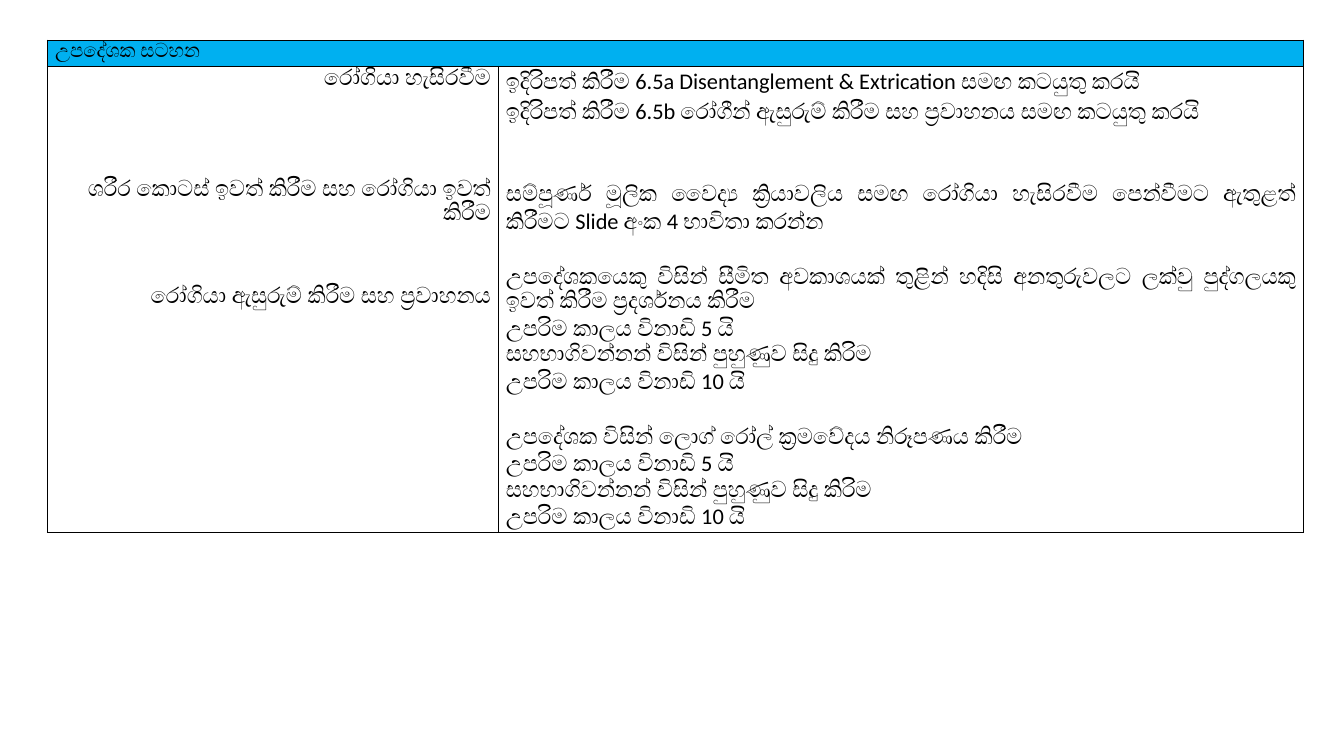
from lxml.etree import SubElement
from pptx import Presentation
from pptx.dml.color import RGBColor
from pptx.enum.text import PP_ALIGN
from pptx.oxml.ns import qn
from pptx.util import Pt

COLORS = {"text": "000000", "border": "000000", "header": "00B0F0"}
JOINER = chr(0x200D)
TRANSPORT = f"ප්{JOINER}රවාහනය"
EXERCISE = [
    ("උපරිම කාලය විනාඩි 5 යි", 0),
    ("සහභාගිවන්නන් විසින් පුහුණුව සිදු කිරිම", 0),
    ("උපරිම කාලය විනාඩි 10 යි", 0),
]
HEADING = [("උපදේශක සටහන", 0)]
TOPICS = [
    ("රෝගියා හැසිරවීම", 0),
    ("ශරීර කොටස් ඉවත් කිරීම සහ රෝගියා ඉවත් කිරීම", 62),
    (f"රෝගියා ඇසුරුම් කිරීම සහ {TRANSPORT}", 42),
]
NOTES = [
    ("ඉදිරිපත් කිරීම 6.5a Disentanglement & Extrication සමඟ කටයුතු කරයි", 0),
    (f"ඉදිරිපත් කිරීම 6.5b රෝගීන් ඇසුරුම් කිරීම සහ {TRANSPORT} සමඟ කටයුතු කරයි", 0),
    (f"සම්පූර්ණ මූලික වෛද්{JOINER}ය ක්{JOINER}රියාවලිය සමඟ රෝගියා හැසිරවීම පෙන්වීමට "
     "ඇතුළත් කිරීමට Slide අංක 4 භාවිතා කරන්න", 41),
    ("උපදේශකයෙකු විසින් සීමිත අවකාශයක් තුළින් හදිසි අනතුරුවලට ලක්වු "
     f"පුද්ගලයකු ඉවත් කිරීම ප්{JOINER}රදර්ශනය කිරීම", 21),
    *EXERCISE,
    (f"උපදේශක විසින් ලොග් රෝල් ක්{JOINER}රමවේදය නිරූපණය කිරීම", 21),
    *EXERCISE,
]


class InstructorSlide:
    """Hold the style and the current slide."""

    font_name = "Calibri"
    line_spacing = 1.07
    margins = {"margin_left": Pt(5.4), "margin_right": Pt(5.4), "margin_top": 0, "margin_bottom": 0}

    def __init__(self, presentation):
        """Add a blank slide."""
        self.slide = presentation.slides.add_slide(presentation.slide_layouts[6])

    def apply(self, target, values):
        """Set attributes from a dict."""
        for name, value in values.items():
            setattr(target, name, value)

    def table(self, left, top, widths, heights):
        """Add a plain table with the given column widths and row heights."""
        frame = self.slide.shapes.add_table(
            len(heights), len(widths), Pt(left), Pt(top), Pt(sum(widths)), Pt(sum(heights)))
        table = frame.table
        self.apply(table, {"first_row": False, "horz_banding": False})
        for column, width in zip(table.columns, widths):
            column.width = Pt(width)
        for row, height in zip(table.rows, heights):
            row.height = Pt(height)
        for cell in table.iter_cells():
            self.borders(cell)
            cell.fill.background()
        return table

    def borders(self, cell):
        """Draw a thin line on each side of a cell."""
        properties = cell._tc.get_or_add_tcPr()
        for side in ("lnL", "lnR", "lnT", "lnB"):
            line = SubElement(properties, qn(f"a:{side}"), w=str(Pt(1)))
            fill = SubElement(line, qn("a:solidFill"))
            SubElement(fill, qn("a:srgbClr"), val=COLORS["border"])

    def cell(self, cell, lines, size, alignment, fill=None):
        """Write paragraphs, each with its space before, into a cell."""
        self.apply(cell, self.margins)
        if fill:
            cell.fill.solid()
            cell.fill.fore_color.rgb = RGBColor.from_string(COLORS[fill])
        text_frame = cell.text_frame
        for index, (text, gap) in enumerate(lines):
            paragraph = text_frame.add_paragraph() if index else text_frame.paragraphs[0]
            self.apply(paragraph, {
                "alignment": alignment,
                "line_spacing": self.line_spacing,
                "space_before": Pt(gap),
            })
            run = paragraph.add_run()
            run.text = text
            self.apply(run.font, {"name": self.font_name, "size": Pt(size), "bold": False})
            run.font.color.rgb = RGBColor.from_string(COLORS["text"])


def main():
    """Build the instructor note slide."""
    presentation = Presentation()
    presentation.slide_width, presentation.slide_height = Pt(960), Pt(540)
    page = InstructorSlide(presentation)
    table = page.table(34, 28.8, [322, 575], [18.7, 332.6])
    table.cell(0, 0).merge(table.cell(0, 1))
    page.cell(table.cell(0, 0), HEADING, 14, PP_ALIGN.LEFT, "header")
    page.cell(table.cell(1, 0), TOPICS, 16, PP_ALIGN.RIGHT)
    page.cell(table.cell(1, 1), NOTES, 16, PP_ALIGN.JUSTIFY)
    presentation.save("out.pptx")


if __name__ == "__main__":
    main()
